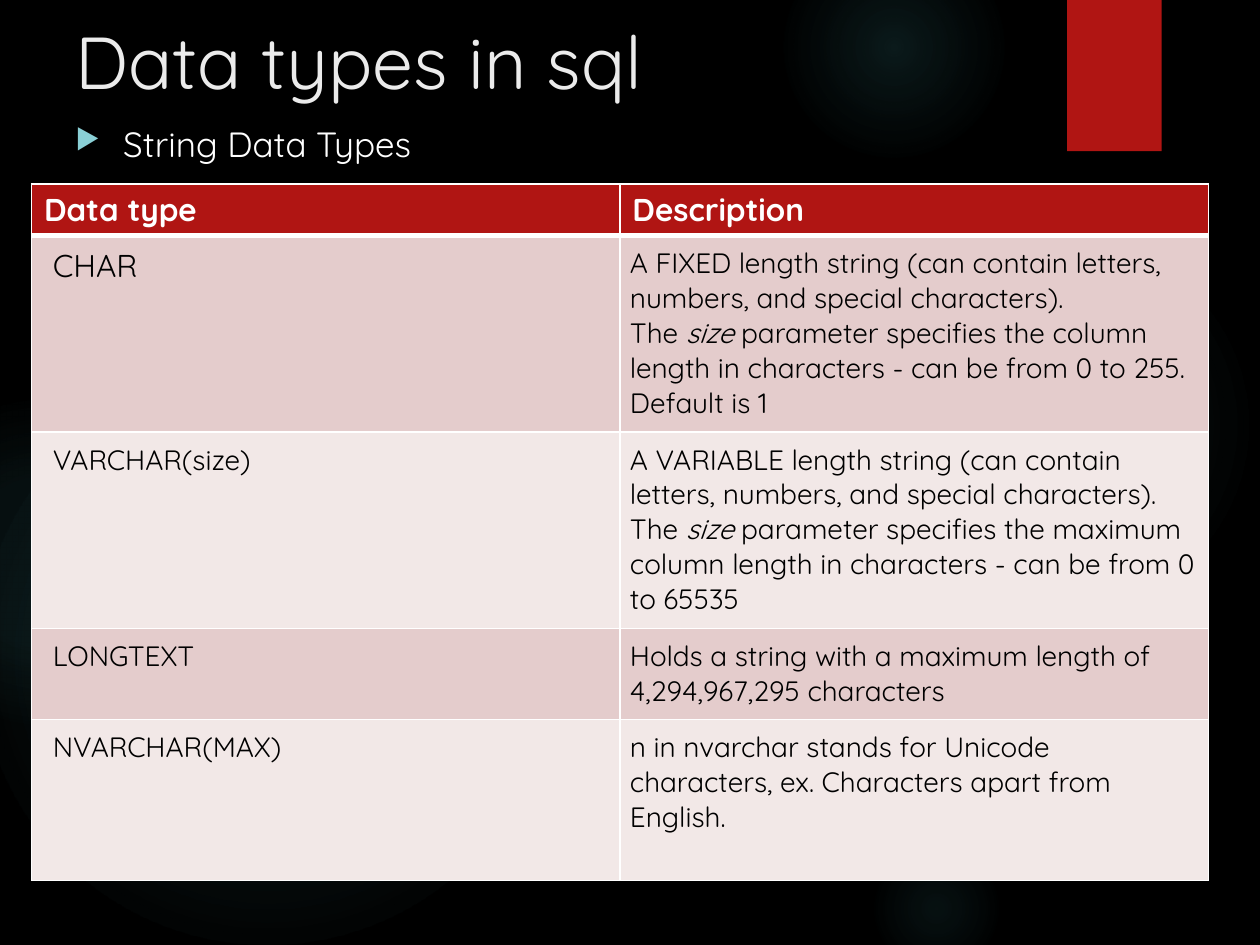
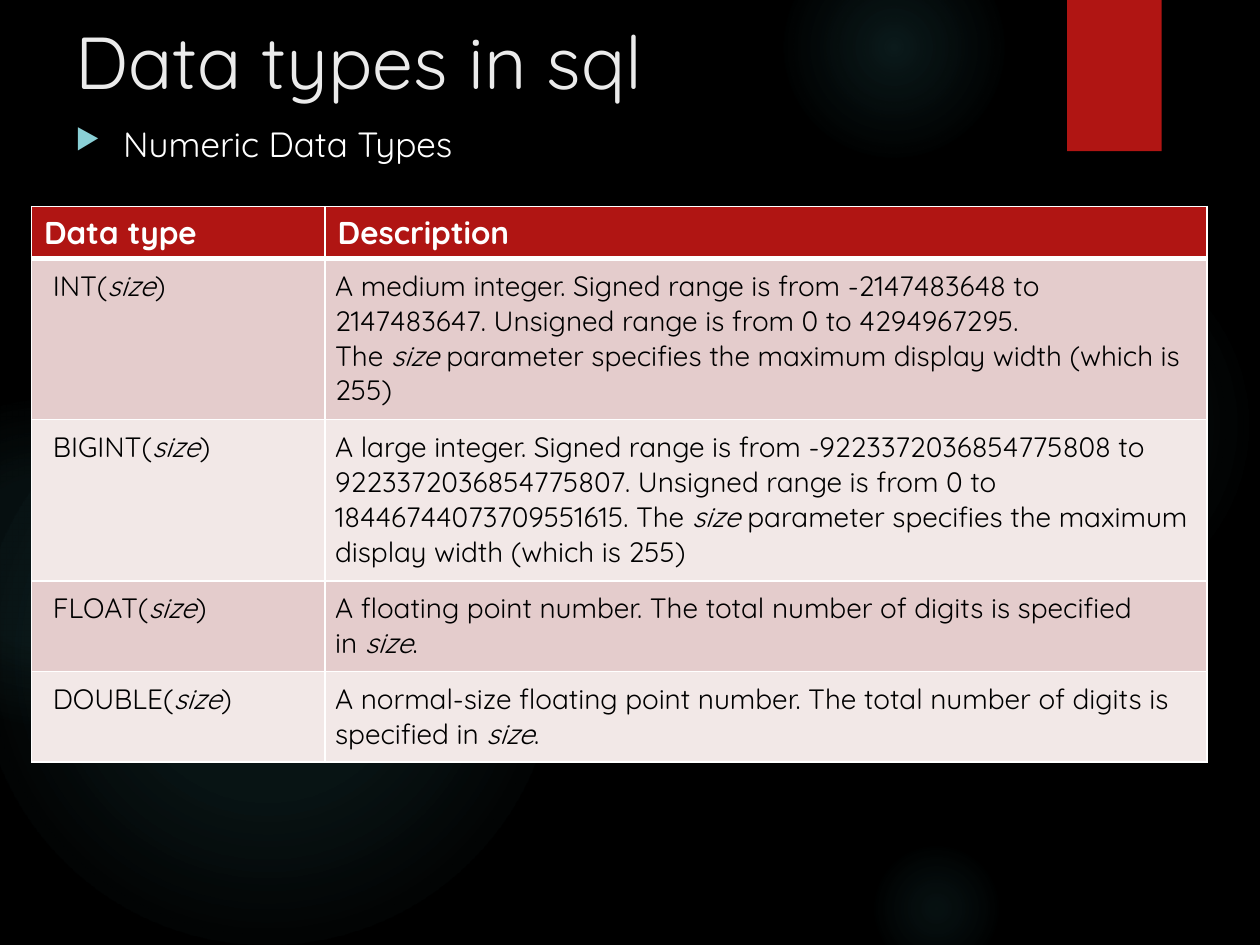
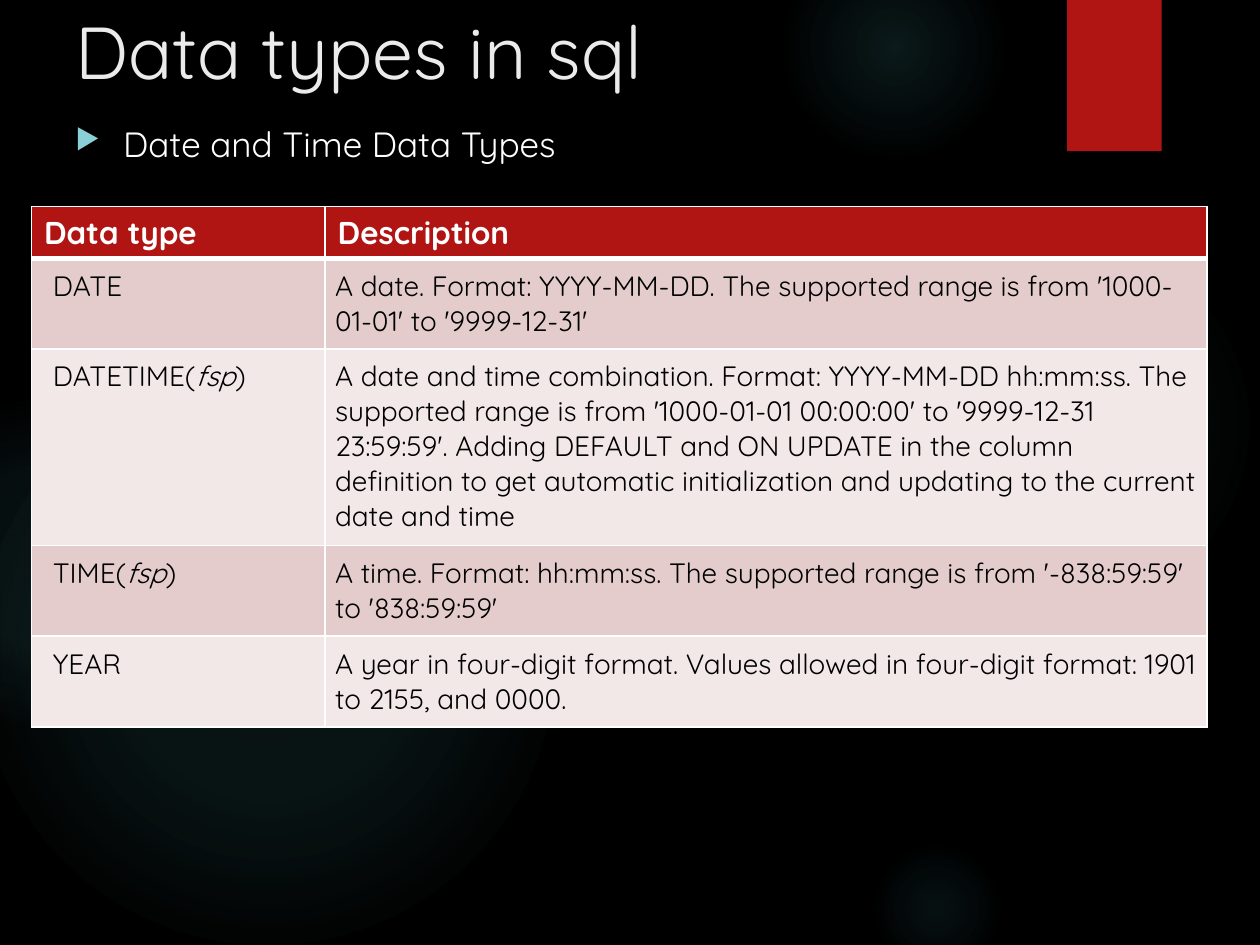
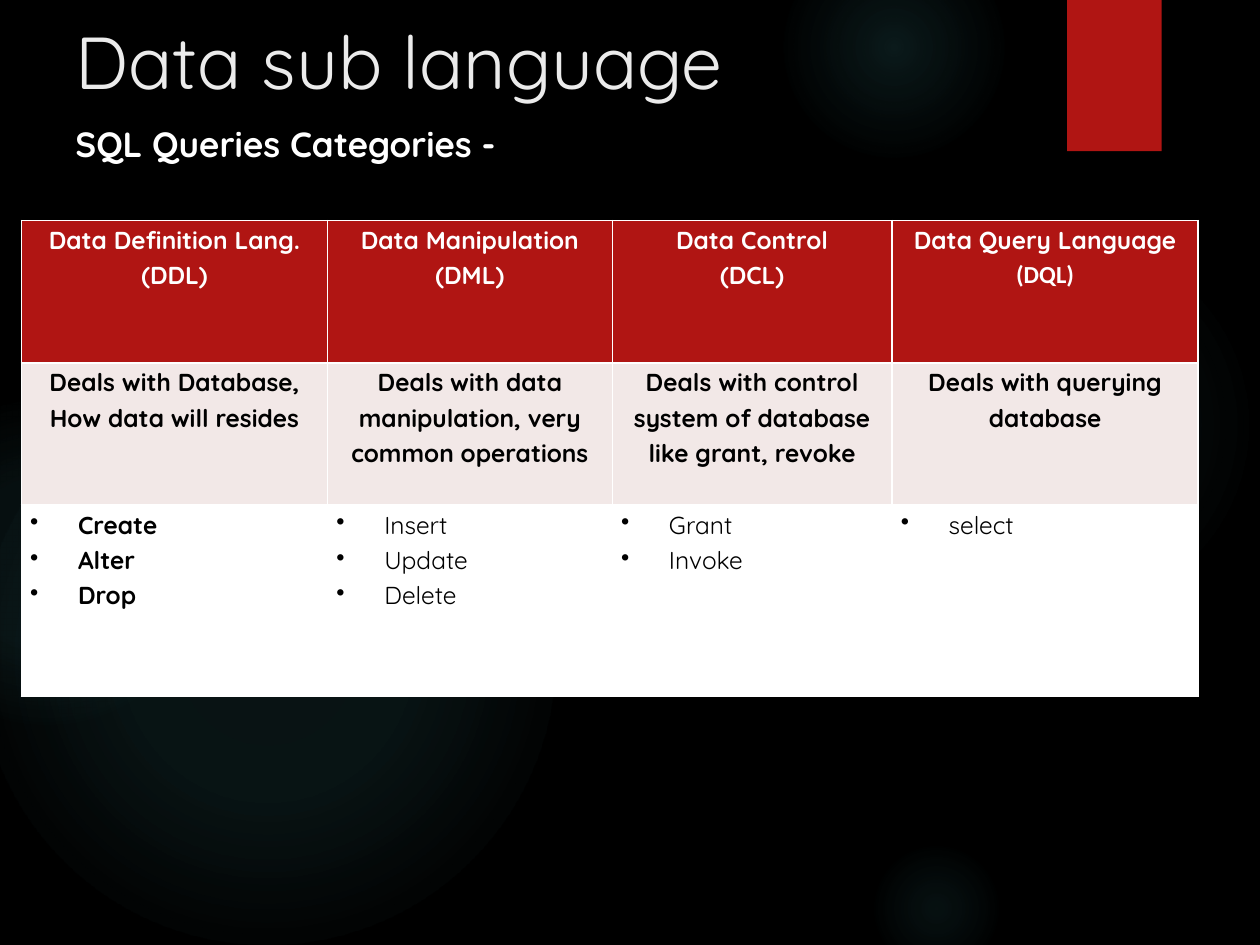
from pptx import Presentation
from pptx.dml.color import RGBColor
from pptx.enum.shapes import MSO_SHAPE as Shape
from pptx.enum.text import MSO_ANCHOR as Anchor, MSO_AUTO_SIZE as AutoSize, PP_ALIGN as Align
from pptx.oxml import parse_xml
from pptx.oxml.ns import nsdecls
from pptx.util import Inches, Pt

# Shared colours and type
BLACK, WHITE, TITLE = "000000", "FFFFFF", "EBEBEB"
RED, ROSE, PALE, GLOW, ARROW = "B01513", "E4CCCC", "F2E8E7", "50B9C1", "8AD0D6"
FONT = "Quicksand"
NBSP = chr(160)
rgb = RGBColor.from_string


def write(frame, text, size=16, color=BLACK, bold=False, font=FONT,
          align=Align.LEFT, spacing=None, bullet=None, bullet_xml=""):
    """One paragraph per line; *stars* mark italics, kept with their neighbours."""
    frame.word_wrap = True
    text = text.replace(" *", NBSP + "*").replace("* ", "*" + NBSP)
    for number, line in enumerate(text.split("\n")):
        para = frame.paragraphs[0] if number == 0 else frame.add_paragraph()
        para.alignment = align
        if spacing:
            para.line_spacing = spacing
        if bullet:
            props = para._p.get_or_add_pPr()
            props.set("marL", str(Inches(0.38)))
            props.set("indent", str(-Inches(0.38)))
            for xml in (bullet_xml, f'<a:buChar {nsdecls("a")} char="{bullet}"/>'):
                if xml:
                    for item in parse_xml(f'<a:pPr {nsdecls("a")}>{xml}</a:pPr>'):
                        props.append(item)
        for part, words in enumerate(line.split("*")):
            if words:
                span = para.add_run()
                span.text = words
                span.font.name = font
                span.font.size = Pt(size)
                span.font.bold = bold
                span.font.italic = part % 2 == 1
                span.font.color.rgb = rgb(color)


def add_grid(page, left, top, widths, heights, fills, header_rule=1):
    """Table with white rules and one fill per row."""
    table = page.shapes.add_table(
        len(heights), len(widths), Inches(left), Inches(top),
        Inches(sum(widths)), Inches(sum(heights))).table
    for column, width in zip(table.columns, widths):
        column.width = Inches(width)
    for index, (row, height) in enumerate(zip(table.rows, heights)):
        row.height = Inches(height)
        rules = {"lnL": 1, "lnR": 1,
                 "lnT": header_rule if index == 1 else 1,
                 "lnB": header_rule if index == 0 else 1}
        for cell in row.cells:
            for side, width in rules.items():
                cell._tc.get_or_add_tcPr().append(parse_xml(
                    f'<a:{side} {nsdecls("a")} w="{Pt(width)}"><a:solidFill>'
                    f'<a:srgbClr val="{WHITE}"/></a:solidFill></a:{side}>'))
            cell.fill.solid()
            cell.fill.fore_color.rgb = rgb(fills[index])
    return table


deck = Presentation()
deck.slide_width, deck.slide_height = Inches(10), Inches(7.5)
layout = deck.slide_layouts[5]
deck.slide_master.background.fill.solid()
deck.slide_master.background.fill.fore_color.rgb = rgb(BLACK)

# Pages: title, title top, subtitle
headings = [
    ("Data types in sql", 0.08, "String Data Types"),
    ("Data types in sql", 0.08, "Numeric Data Types"),
    ("Data types in sql", 0, "Date and Time Data Types"),
    ("Data sub language", 0.08, "SQL Queries Categories -"),
]
ARROW_XML = f'<a:buClr><a:srgbClr val="{ARROW}"/></a:buClr><a:buSzPct val="80000"/>'
pages = []
for title, title_top, subtitle in headings:
    page = deck.slides.add_slide(layout)
    pages.append(page)
    box = page.shapes.title
    box.left, box.top, box.width, box.height = map(Inches, (0.5, title_top, 8.17, 1.25))
    box.text_frame.auto_size = AutoSize.NONE
    box.text_frame.vertical_anchor = Anchor.TOP
    write(box.text_frame, title, size=42, color=TITLE)

    box = page.shapes.add_textbox(*map(Inches, (0.5, 0.92, 8.17, 5.33)))
    is_category = subtitle.endswith("-")
    write(box.text_frame, subtitle, size=20, color=WHITE, bold=is_category,
          bullet=None if is_category else "▶", bullet_xml=ARROW_XML)

# Backdrop on the shared layout: soft glows (left, top, diameter, stops) and red tab
glows = [
    (6.89, 1.83, 3.08, [(0, 7), (36, 6), (69, 0)]),
    (6.22, -0.5, 1.75, [(0, 14), (36, 7), (73, 0)]),
    (6.89, 6.67, 1.08, [(0, 9), (36, 5), (66, 0)]),
    (-0.17, 2.92, 4.58, [(0, 11), (36, 10), (75, 0)]),
    (-0.92, 3.17, 2.58, [(0, 8), (36, 8), (72, 0)]),
]
backdrop = []
for left, top, diameter, stops in glows:
    glow = pages[0].shapes.add_shape(
        Shape.OVAL, *map(Inches, (left, top, diameter, diameter)))
    stop_xml = "".join(
        f'<a:gs pos="{place * 1000}"><a:srgbClr val="{GLOW}">'
        f'<a:alpha val="{alpha * 1000}"/></a:srgbClr></a:gs>' for place, alpha in stops)
    glow.element.spPr.insert(2, parse_xml(
        f'<a:gradFill {nsdecls("a")}><a:gsLst>{stop_xml}</a:gsLst><a:path path="circle">'
        '<a:fillToRect l="50000" t="50000" r="50000" b="50000"/></a:path></a:gradFill>'))
    backdrop.append(glow)
tab = pages[0].shapes.add_shape(Shape.RECTANGLE, *map(Inches, (8.47, 0, 0.75, 1.2)))
tab.fill.solid()
tab.fill.fore_color.rgb = rgb(RED)
backdrop.append(tab)
layout_tree = layout.placeholders[0].element.getparent()
for index, shape in enumerate(backdrop):
    shape.line.fill.background()
    shape.shadow.inherit = False
    layout_tree.insert(2 + index, shape.element)

# Data type tables: top, column widths, rows of (type, description, lines of height)
type_tables = [
    (1.46, (4.67, 4.67), [
        ("CHAR", "A FIXED length string (can contain letters, numbers, and special characters). "
         "The *size* parameter specifies the column length in characters - "
         "can be from 0 to 255. Default is 1", 5),
        ("VARCHAR(size)", "A VARIABLE length string (can contain letters, numbers, and special "
         "characters). The *size* parameter specifies the maximum column length in characters - "
         "can be from 0 to 65535", 5),
        ("LONGTEXT", "Holds a string with a maximum length of 4,294,967,295 characters", 2),
        ("NVARCHAR(MAX)", "n in nvarchar stands for Unicode characters, "
         "ex. Characters apart from English.", 4),
    ]),
    (1.64, (2.33, 7), [
        ("INT(*size*)", "A medium integer. Signed range is from -2147483648 to 2147483647. "
         "Unsigned range is from 0 to 4294967295. "
         "The *size* parameter specifies the maximum display width (which is 255)", 4),
        ("BIGINT(*size*)", "A large integer. Signed range is from -9223372036854775808 to "
         "9223372036854775807. Unsigned range is from 0 to 18446744073709551615. "
         "The *size* parameter specifies the maximum display width (which is 255)", 4),
        ("FLOAT(*size*)", "A floating point number. "
         "The total number of digits is specified in *size*.", 2),
        ("DOUBLE(*size*)", "A normal-size floating point number. "
         "The total number of digits is specified in *size*.", 2),
    ]),
    (1.64, (2.33, 7), [
        ("DATE", "A date. Format: YYYY-MM-DD. "
         "The supported range is from '1000-01-01' to '9999-12-31'", 2),
        ("DATETIME(*fsp*)", "A date and time combination. Format: YYYY-MM-DD hh:mm:ss. "
         "The supported range is from '1000-01-01 00:00:00' to '9999-12-31 23:59:59'. "
         "Adding DEFAULT and ON UPDATE in the column definition to get automatic "
         "initialization and updating to the current date and time", 5),
        ("TIME(*fsp*)", "A time. Format: hh:mm:ss. "
         "The supported range is from '-838:59:59' to '838:59:59'", 2),
        ("YEAR", "A year in four-digit format. "
         "Values allowed in four-digit format: 1901 to 2155, and 0000.", 2),
    ]),
]
for page, (top, widths, rows) in zip(pages, type_tables):
    heights = [0.41] + [0.16 + 0.28 * lines for *_, lines in rows]
    table = add_grid(page, 0.25, top, widths, heights,
                     [RED, ROSE, PALE, ROSE, PALE], header_rule=3)
    for column, label in enumerate(("Data type", "Description")):
        write(table.cell(0, column).text_frame, label, size=18, color=WHITE, bold=True)
    for index, (name, description, _) in enumerate(rows, start=1):
        for column, words in enumerate((name, description)):
            cell = table.cell(index, column)
            cell.margin_left = Inches(0.08 if column else 0.17)
            cell.margin_top = cell.margin_right = cell.margin_bottom = Inches(0.08)
            write(cell.text_frame, words, size=18 if words == "CHAR" else 16)

# SQL categories: name, abbreviation, purpose, commands
categories = [
    ("Data Definition Lang.", "(DDL)", "Deals with Database, How data will resides",
     "Create\nAlter\nDrop"),
    ("Data Manipulation", "(DML)", "Deals with data manipulation, very common operations",
     "Insert\nUpdate\nDelete"),
    ("Data Control", "(DCL)", "Deals with control system of database like grant, revoke",
     "Grant\nInvoke"),
    ("Data Query Language", "(DQL)", "Deals with querying database", "select"),
]
table = add_grid(pages[3], 0.17, 1.75, (2.43, 2.26, 2.22, 2.43), (1.13, 1.13, 1.52),
                 [RED, PALE, WHITE])
for column, (name, short, purpose, commands) in enumerate(categories):
    cells = [table.cell(row, column) for row in range(3)]
    for cell in cells:
        cell.margin_left = cell.margin_right = Inches(0.07)
        cell.margin_top = cell.margin_bottom = 0
    head, middle, foot = [cell.text_frame for cell in cells]
    write(head, f"{name}\n{short}", size=14, color=WHITE, bold=True,
          align=Align.CENTER, spacing=1.15)
    if short == "(DQL)":
        head.paragraphs[1].runs[0].font.name = "Calibri"
    write(middle, purpose, size=14, bold=True, align=Align.CENTER, spacing=1.15)
    write(foot, commands, size=14, bold=column == 0, spacing=1.15, bullet="•")

deck.save("out.pptx")
